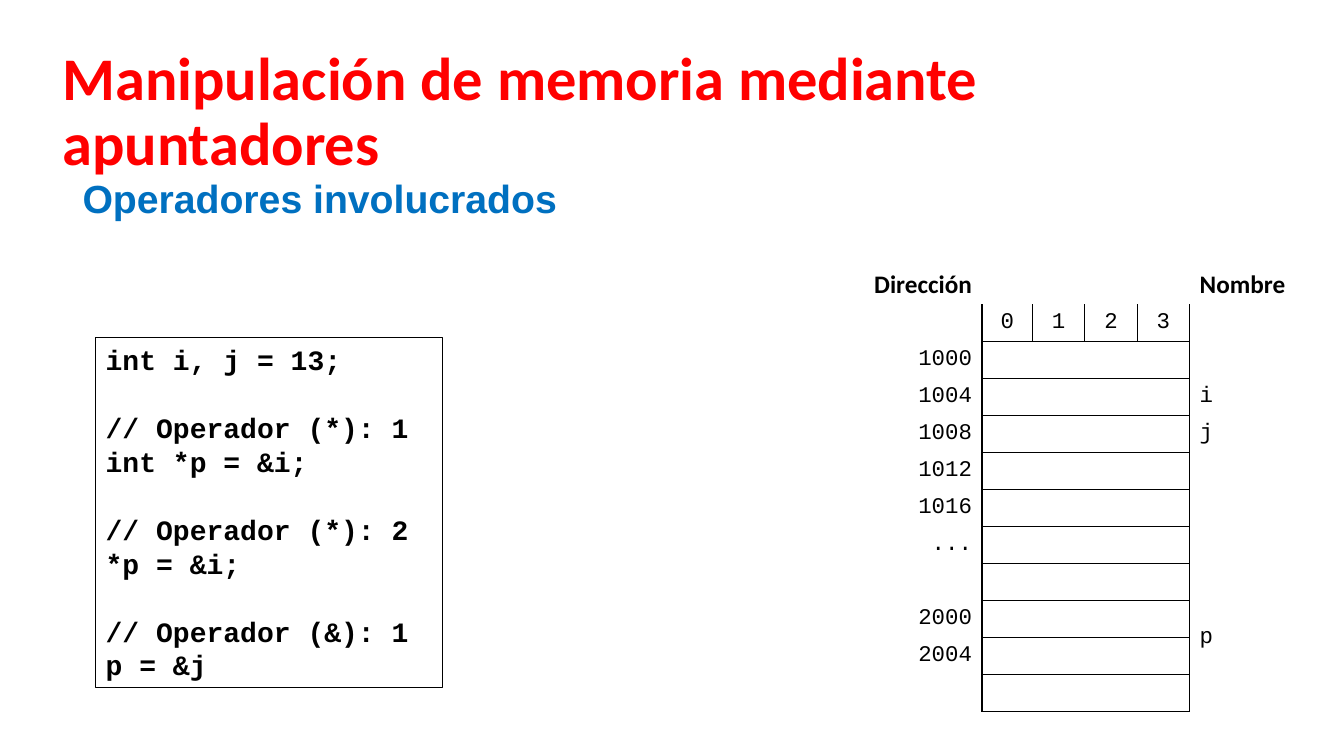
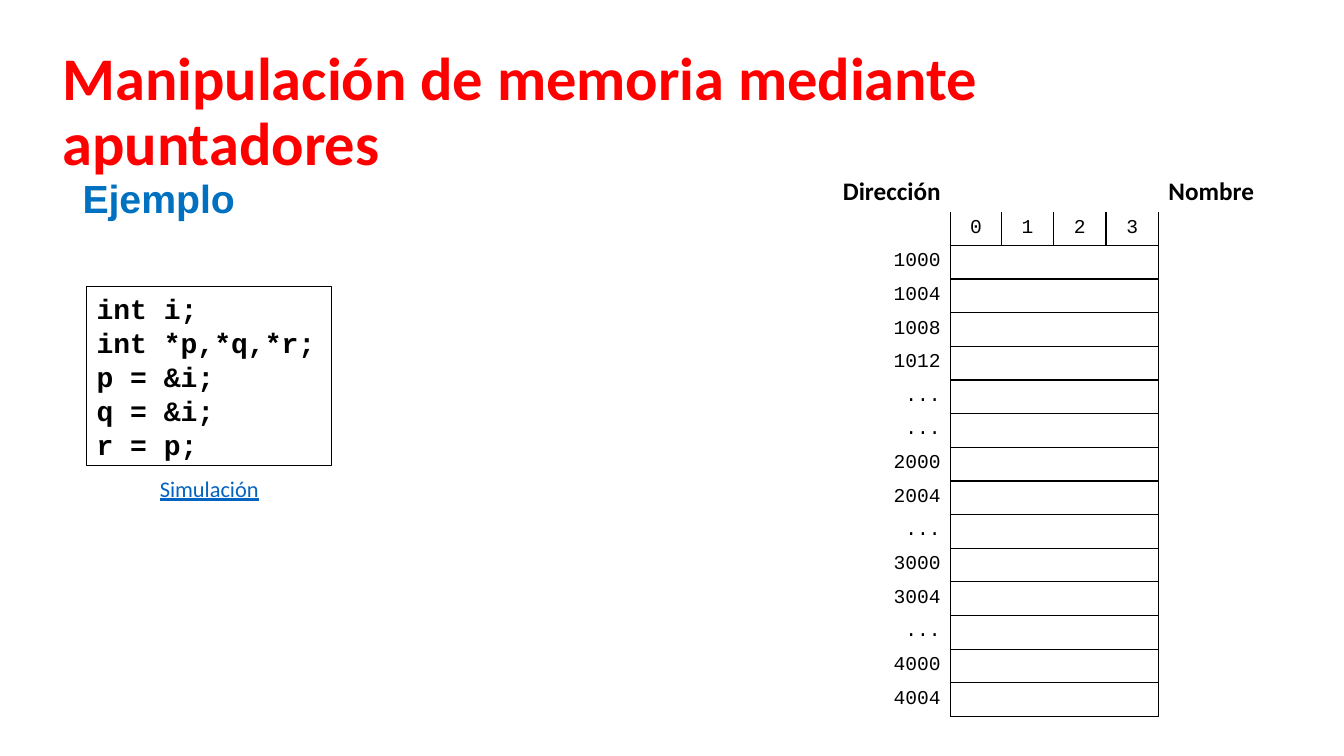
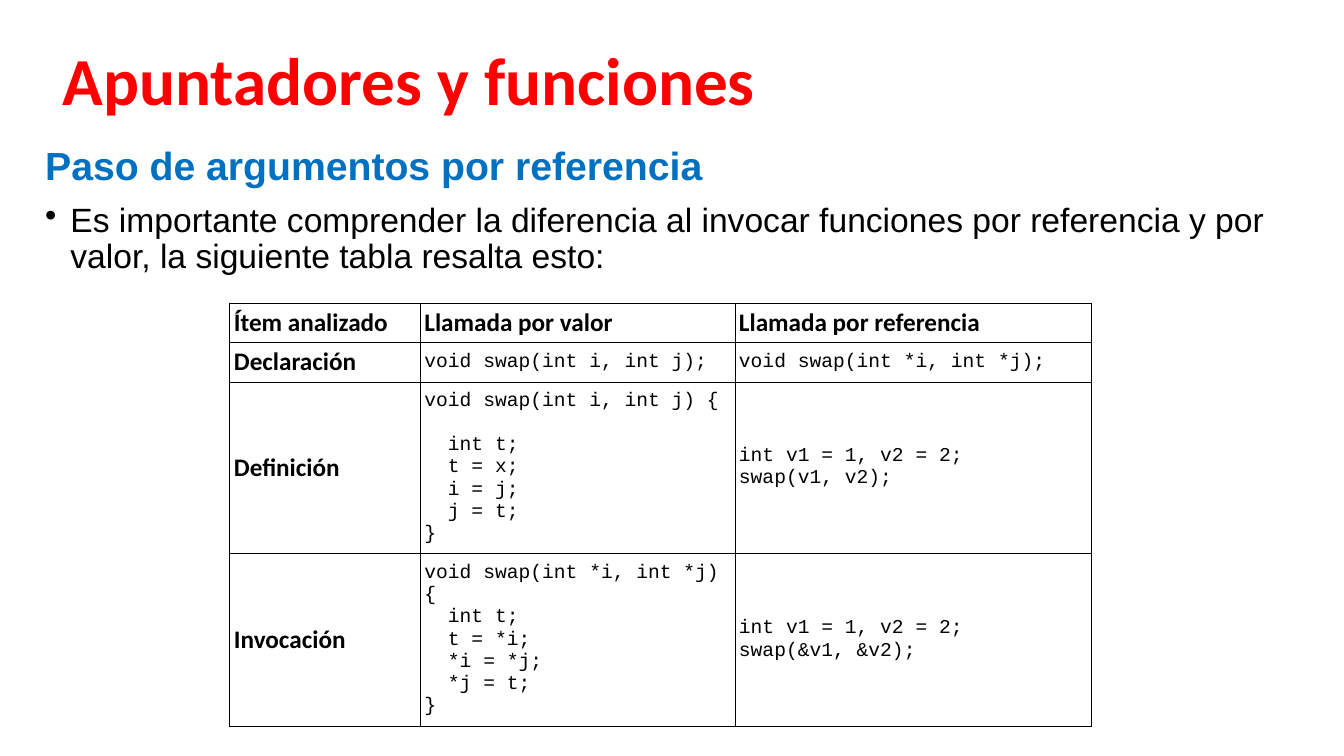
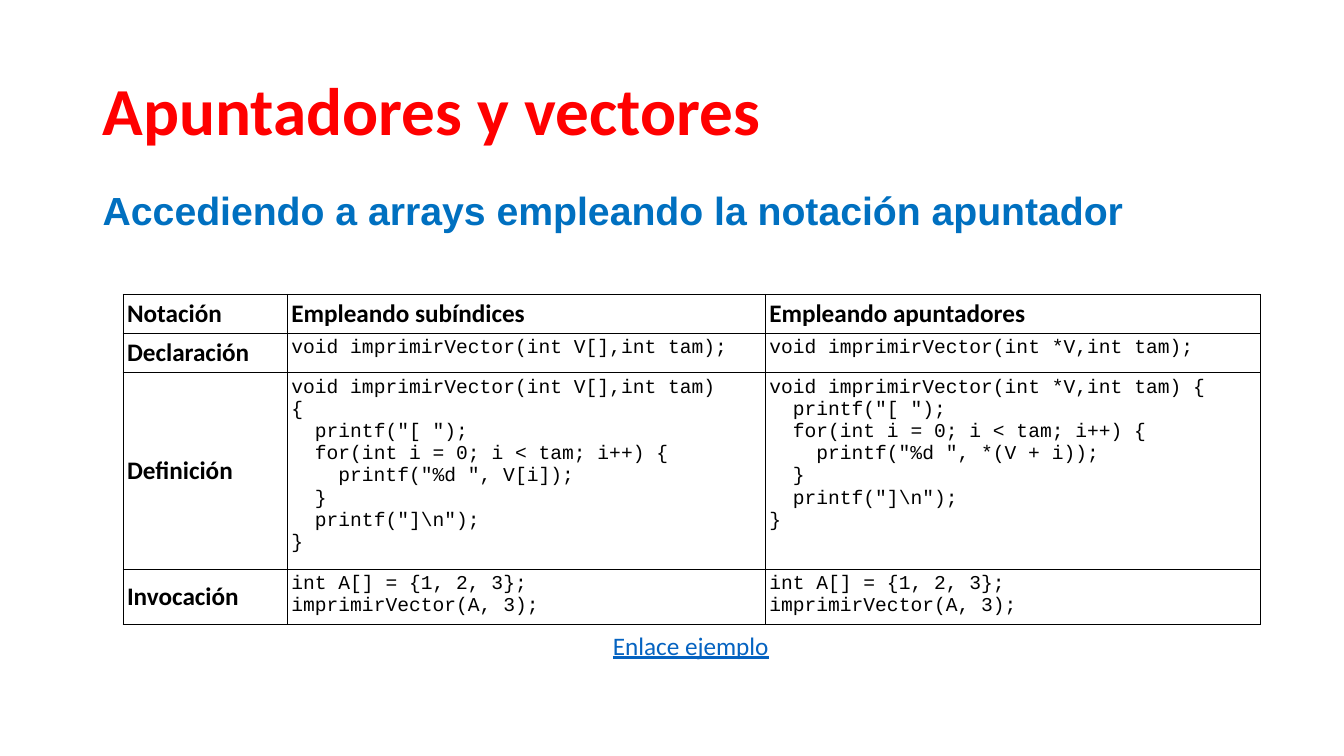
from dataclasses import dataclass, field

from lxml import etree
from pptx import Presentation
from pptx import util as u
from pptx.dml.color import RGBColor
from pptx.enum import shapes, text
from pptx.oxml import ns


@dataclass(frozen=True)
class Theme:
    title: str = "FF0000"
    subtitle: str = "0070C0"
    ink: str = "000000"
    paper: str = "FFFFFF"
    link: str = "0563C1"
    heading_font: str = "Calibri"
    body_font: str = "Arial"
    code_font: str = "Courier New"
    title_size: float = 48
    long_title_size: float = 43.2
    subtitle_size: float = 28
    body_size: float = 24
    code_size: float = 20
    label_size: float = 18
    link_size: float = 16
    cell_code_size: float = 14
    thin: float = 0.75
    grid: float = 1


T = Theme()
CODE_LINE = 1.21
CELL_LINE = 1.13
CHAR_WIDTH = 0.6


@dataclass(frozen=True)
class Box:
    left: float
    top: float
    width: float
    height: float

    def lengths(self) -> tuple:
        return tuple(u.Inches(v) for v in (self.left, self.top, self.width, self.height))


@dataclass(frozen=True)
class Memory:
    """A memory map: one address per four-byte row, with variable names beside it."""
    box: Box
    size: float
    addresses: list
    names: dict = field(default_factory=dict)
    joined: int = 0  # first of two table rows sharing one name cell


@dataclass(frozen=True)
class Comparison:
    left: float
    top: float
    cols: tuple
    rows: tuple
    cells: list
    code_anchor: text.MSO_ANCHOR


TITLE = Box(0.52, 0.4, 11.89, 1.45)
SUBTITLE = Box(0.72, 1.73, 11.89, 5.24)
MEMORY_TITLE = "Manipulación de memoria mediante apuntadores"
MEMORY_COLS = (1.19, 0.5, 0.52, 0.52, 0.52, 1.12)
MEMORY_HEADER = 0.4

OPERATORS_CODE = """int i, j = 13;

// Operador (*): 1
int *p = &i;

// Operador (*): 2
*p = &i;

// Operador (&): 1
p = &j"""

EXAMPLE_CODE = """int i;
int *p,*q,*r;
p = &i;
q = &i;
r = p;"""

SWAP_VALUE = """void swap(int i, int j) {

  int t;
  t = x;
  i = j;
  j = t;
}"""

SWAP_REFERENCE = """void swap(int *i, int *j) {
  int t;
  t = *i;
  *i = *j;
  *j = t;
}"""

PRINT_BODY = r"""
  printf("[ ");
  for(int i = 0; i < tam; i++) {
    printf("%d ", ELEMENT);
  }
  printf("]\n");
}"""
PRINT_INDEX = "void imprimirVector(int V[],int tam)\v{" + PRINT_BODY.replace("ELEMENT", "V[i]")
PRINT_POINTER = "void imprimirVector(int *V,int tam) {" + PRINT_BODY.replace("ELEMENT", "*(V + i)")
PRINT_CALL = "int A[] = {1, 2, 3};\nimprimirVector(A, 3);"

OPERATORS_MEMORY = Memory(
    Box(8.55, 2.62, 4.37, 4.43), 16,
    ["1000", "1004", "1008", "1012", "1016", "...", "", "2000", "2004", ""],
    {3: "i", 4: "j", 9: "p"}, 9)
EXAMPLE_MEMORY = Memory(
    Box(8.24, 1.7, 4.37, 5.4), T.cell_code_size,
    ["1000", "1004", "1008", "1012", "...", "...", "2000", "2004", "...",
     "3000", "3004", "...", "4000", "4004"],
    joined=8)

SWAP_TABLE = Comparison(
    2.28, 3.01, (1.89, 3.12, 3.54), (0.39, 0.39, 1.62, 1.62),
    [("Ítem analizado", "Llamada por valor", "Llamada por referencia"),
     ("Declaración", "void swap(int i, int j);", "void swap(int *i, int *j);"),
     ("Definición", SWAP_VALUE, "int v1 = 1, v2 = 2;\nswap(v1, v2);"),
     ("Invocación", SWAP_REFERENCE, "int v1 = 1, v2 = 2;\nswap(&v1, &v2);")],
    text.MSO_ANCHOR.MIDDLE)
VECTOR_TABLE = Comparison(
    1.22, 2.92, (1.63, 4.74, 4.91), (0.39, 0.39, 1.84, 0.53),
    [("Notación", "Empleando subíndices", "Empleando apuntadores"),
     ("Declaración", "void imprimirVector(int V[],int tam);",
      "void imprimirVector(int *V,int tam);"),
     ("Definición", PRINT_INDEX, PRINT_POINTER),
     ("Invocación", PRINT_CALL, PRINT_CALL)],
    text.MSO_ANCHOR.TOP)


def style(p, size: float, font: str, color: str = T.ink, bold: bool = False) -> None:
    f = p.font
    f.size, f.name, f.bold = u.Pt(size), font, bold
    f.color.rgb = RGBColor.from_string(color)


def indent(p, left: int, first: int = 0) -> None:
    pPr = p._p.get_or_add_pPr()
    pPr.set("marL", str(int(left)))
    pPr.set("indent", str(int(first)))


def next_paragraph(tf, first: bool):
    return tf.paragraphs[0] if first else tf.add_paragraph()


def write_code(tf, code: str, size: float, line: float, bold: bool = False) -> list:
    """Write one paragraph a line; blank lines become spacing, leading spaces indents."""
    written = []
    gap = 0
    for row in code.split("\n"):
        if not row:
            gap += size * line
            continue
        p = next_paragraph(tf, not written)
        p.text = row.lstrip(" ")
        p.alignment = text.PP_ALIGN.LEFT
        style(p, size, T.code_font, bold=bold)
        depth = len(row) - len(row.lstrip(" "))
        if depth:
            indent(p, u.Pt(depth * size * CHAR_WIDTH))
        if gap:
            p.space_before = u.Pt(gap)
        gap = 0
        written.append(p)
    return written


def add_text(s, box: Box, wrap: bool = True):
    tf = s.shapes.add_textbox(*box.lengths()).text_frame
    tf.word_wrap = wrap
    return tf


def add_title(s, title: str, size: float, box: Box = TITLE) -> None:
    tf = add_text(s, box)
    tf.vertical_anchor = text.MSO_ANCHOR.MIDDLE
    p = tf.paragraphs[0]
    p.text, p.line_spacing = title, 0.9
    style(p, size, T.heading_font, T.title, True)


def add_body(s, subtitle: str, box: Box = SUBTITLE, bullets: tuple = ()) -> None:
    tf = add_text(s, box)
    for i, line in enumerate((subtitle, *bullets)):
        p = next_paragraph(tf, i == 0)
        p.text, p.line_spacing, p.space_before = line, 0.9, u.Pt(10)
        if i == 0:
            style(p, T.subtitle_size, T.body_font, T.subtitle, True)
            continue
        indent(p, u.Inches(0.25), u.Inches(-0.25))
        style(p, T.body_size, T.body_font)
        bullet = etree.Element(ns.qn("a:buChar"), char="•")
        p._p.pPr.find(ns.qn("a:defRPr")).addprevious(bullet)


def add_link_label(s, label: str, box: Box, size: float, wrap: bool) -> None:
    p = add_text(s, box, wrap).paragraphs[0]
    p.text = label
    p.alignment = text.PP_ALIGN.CENTER if wrap else text.PP_ALIGN.LEFT
    style(p, size, T.heading_font, T.link)
    p.font.underline = True


def add_code_box(s, code: str, box: Box) -> None:
    sp = s.shapes.add_shape(shapes.MSO_SHAPE.RECTANGLE, *box.lengths())
    sp.shadow.inherit = False
    sp.fill.background()
    sp.line.color.rgb = RGBColor.from_string(T.ink)
    sp.line.width = u.Pt(T.thin)
    tf = sp.text_frame
    tf.word_wrap = True
    tf.vertical_anchor = text.MSO_ANCHOR.TOP
    for p in write_code(tf, code, T.code_size, CODE_LINE, True):
        p.line_spacing = u.Pt(T.code_size * CODE_LINE)


def set_borders(cell, sides: str, width: float) -> None:
    """Draw the borders named in sides (L, R, T, B) and clear the others."""
    tcPr = cell._tc.get_or_add_tcPr()
    for i, side in enumerate("LRTB"):
        ln = etree.Element(ns.qn(f"a:ln{side}"), w=str(int(u.Pt(width))))
        if side in sides:
            fill = etree.SubElement(ln, ns.qn("a:solidFill"))
            etree.SubElement(fill, ns.qn("a:srgbClr"), val=T.ink)
        else:
            etree.SubElement(ln, ns.qn("a:noFill"))
        tcPr.insert(i, ln)


def add_plain_table(s, box: Box, cols: tuple, rows: tuple):
    table = s.shapes.add_table(len(rows), len(cols), *box.lengths()).table
    table.first_row = table.horz_banding = False
    for column, width in zip(table.columns, cols):
        column.width = u.Inches(width)
    for row, height in zip(table.rows, rows):
        row.height = u.Inches(height)
    return table


def memory_borders(row: int, col: int) -> str:
    if row == 0:
        return ""
    if col == 0:
        return "R"
    if col == len(MEMORY_COLS) - 1:
        return "L"
    return "LRB" if row == 1 else "LRTB"


def add_memory(s, memory: Memory) -> None:
    count = len(memory.addresses) + 1
    height = (memory.box.height - MEMORY_HEADER) / count
    table = add_plain_table(s, memory.box, MEMORY_COLS, (MEMORY_HEADER, *[height] * count))
    last = len(MEMORY_COLS) - 1
    labels = {(0, 0): "Dirección", (0, last): "Nombre"}
    labels.update({(1, byte + 1): str(byte) for byte in range(4)})
    labels.update({(r, 0): a for r, a in enumerate(memory.addresses, 2)})
    labels.update({(r, last): name for r, name in memory.names.items()})
    for r in range(count + 1):
        for c in range(last + 1):
            cell = table.cell(r, c)
            cell.fill.background()
            set_borders(cell, memory_borders(r, c), T.grid)
            p = cell.text_frame.paragraphs[0]
            p.text = labels.get((r, c), "")
            if c < last:
                p.alignment = text.PP_ALIGN.CENTER if c else text.PP_ALIGN.RIGHT
            if r == 0:
                style(p, T.label_size, T.heading_font, bold=True)
            else:
                style(p, memory.size, T.code_font)
        if r != 1:
            table.cell(r, 1).merge(table.cell(r, last - 1))
    shared = table.cell(memory.joined, last)
    shared.merge(table.cell(memory.joined + 1, last))
    shared.vertical_anchor = text.MSO_ANCHOR.MIDDLE


def add_comparison(s, data: Comparison) -> None:
    box = Box(data.left, data.top, sum(data.cols), sum(data.rows))
    table = add_plain_table(s, box, data.cols, data.rows)
    for r, row in enumerate(data.cells):
        for c, content in enumerate(row):
            cell = table.cell(r, c)
            cell.fill.solid()
            cell.fill.fore_color.rgb = RGBColor.from_string(T.paper)
            set_borders(cell, "LRTB", T.thin)
            cell.margin_left = cell.margin_right = u.Inches(0.04)
            cell.margin_top = cell.margin_bottom = u.Inches(0.04)
            if r and c:
                cell.vertical_anchor = data.code_anchor
                write_code(cell.text_frame, content, T.cell_code_size, CELL_LINE)
            else:
                cell.vertical_anchor = text.MSO_ANCHOR.MIDDLE
                p = cell.text_frame.paragraphs[0]
                p.text = content
                style(p, T.label_size, T.heading_font, bold=True)


def operators_slide(s) -> None:
    add_title(s, MEMORY_TITLE, T.long_title_size)
    add_body(s, "Operadores involucrados")
    add_code_box(s, OPERATORS_CODE, Box(0.95, 3.35, 3.44, 3.47))
    add_memory(s, OPERATORS_MEMORY)


def example_slide(s) -> None:
    add_title(s, MEMORY_TITLE, T.long_title_size)
    add_body(s, "Ejemplo")
    add_code_box(s, EXAMPLE_CODE, Box(0.86, 2.84, 2.43, 1.78))
    add_memory(s, EXAMPLE_MEMORY)
    add_link_label(s, "Simulación", Box(1.4, 4.66, 1.35, 0.37), T.link_size, True)


def functions_slide(s) -> None:
    add_title(s, "Apuntadores y funciones", T.title_size, Box(0.52, 0.11, 11.89, 1.45))
    add_body(s, "Paso de argumentos por referencia", Box(0.35, 1.41, 12.46, 5.98),
             ("Es importante comprender la diferencia al invocar funciones por referencia "
              "y por valor, la siguiente tabla resalta esto:",))
    add_comparison(s, SWAP_TABLE)


def vectors_slide(s) -> None:
    add_title(s, "Apuntadores y vectores", T.title_size, Box(0.92, 0.4, 11.5, 1.45))
    add_body(s, "Accediendo a arrays empleando la notación apuntador",
             Box(0.92, 1.85, 11.5, 4.76))
    add_comparison(s, VECTOR_TABLE)
    add_link_label(s, "Enlace ejemplo", Box(5.98, 6.2, 1.77, 0.4), T.label_size, False)


def main() -> None:
    prs = Presentation()
    prs.slide_width, prs.slide_height = u.Inches(13.33), u.Inches(7.5)
    for build in (operators_slide, example_slide, functions_slide, vectors_slide):
        build(prs.slides.add_slide(prs.slide_layouts[6]))
    prs.save("out.pptx")


if __name__ == "__main__":
    main()
